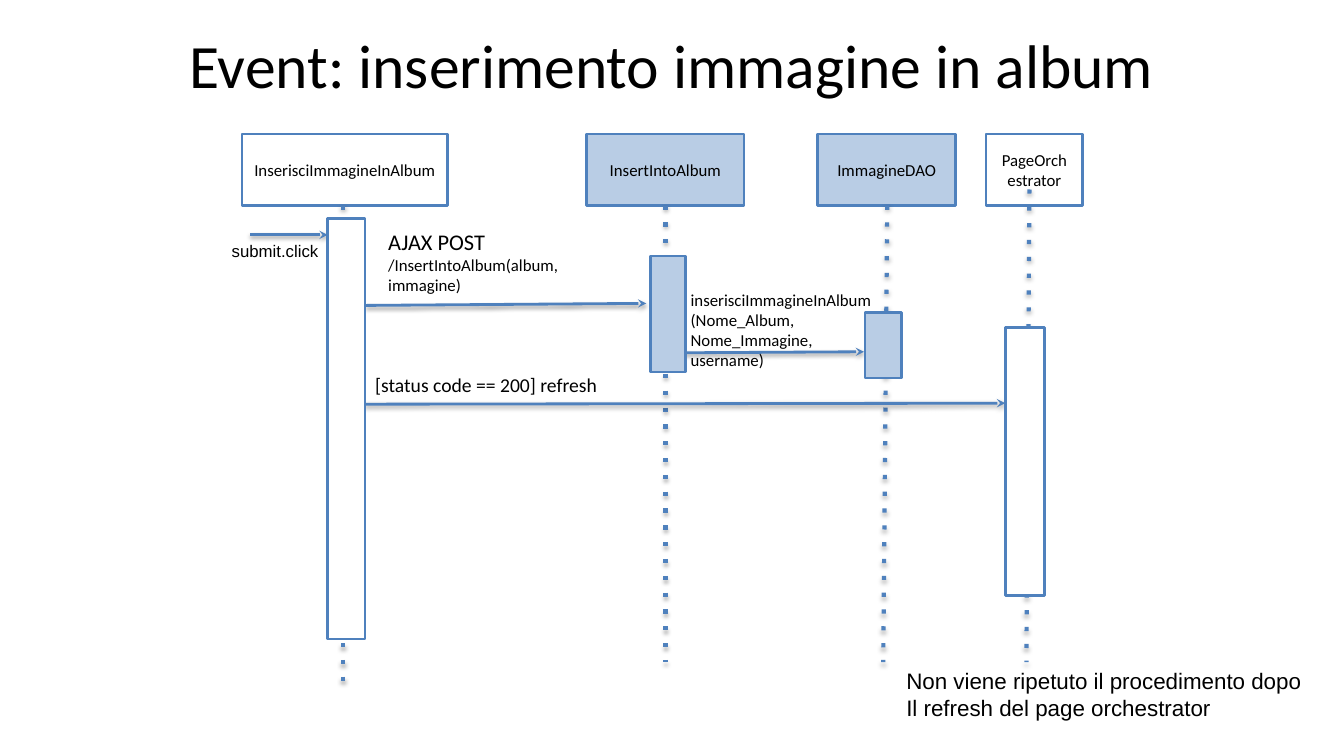
from dataclasses import dataclass

from lxml.etree import SubElement
from pptx import Presentation
from pptx.dml.color import RGBColor as Rgb
from pptx.enum.shapes import MSO_CONNECTOR as Link, MSO_SHAPE as Form
from pptx.enum.text import MSO_ANCHOR as Anchor, MSO_AUTO_SIZE as Fit, PP_ALIGN as Align
from pptx.oxml.ns import qn
from pptx.slide import Slide
from pptx.text.text import TextFrame
from pptx.util import Emu, Inches, Pt

COLS, ROWS = 133.3, 75
WIDE, HIGH = Inches(13.33), Inches(7.5)
HUES = {"ink": "000000", "edge": "4F81BD", "blue": "B9CDE5", "white": "FFFFFF"}
HEAD_TOP, HEAD_ROWS = 13.3, 7.1


@dataclass(frozen=True)
class Actor:
    name: str
    left: float
    width: float
    fill: str
    start: tuple[float, float]
    end: tuple[float, float]
    bar: tuple[float, float, float, float]


@dataclass(frozen=True)
class Arrow:
    start: tuple[float, float]
    end: tuple[float, float]


@dataclass(frozen=True)
class Note:
    text: str
    box: tuple[float, float, float, float]
    sizes: tuple[int, ...]
    font: str = "Calibri"
    pad: tuple[float, float] = (1.2, 0.6)
    wrap: bool = True
    grow: bool = False
    align: Align = Align.LEFT
    anchor: Anchor = Anchor.TOP


ACTORS = [
    Actor("InserisciImmagineInAlbum", 24, 20.4, "white",
          (34, 20.4), (34, 68.8), (32.5, 21.7, 3.7, 41.7)),
    Actor("InsertIntoAlbum", 58.2, 15.6, "blue",
          (66, 20.4), (66, 65.7), (64.5, 25.4, 3.5, 11.5)),
    Actor("ImmagineDAO", 81.1, 13.7, "blue",
          (88, 20.4), (87.6, 65.7), (85.8, 31, 3.6, 6.5)),
    Actor("PageOrchestrator", 97.8, 9.6, "white",
          (102.1, 18.8), (101.8, 65.7), (99.7, 32.5, 3.9, 26.6)),
]
ARROWS = [
    Arrow((24.8, 23.3), (32.5, 23.3)),
    Arrow((36.3, 30.3), (64.1, 30.1)),
    Arrow((67.4, 35), (85.7, 34.9)),
    Arrow((36.2, 40.1), (99.7, 40)),
]
NOTES = [
    Note("Event: inserimento immagine in album", (0, 1.6, COLS, 9.4), (44,),
         pad=(1, 0.5), align=Align.CENTER, anchor=Anchor.MIDDLE),
    Note("AJAX POST\n/InsertIntoAlbum(album, immagine)", (37.3, 22, 25.8, 9.8), (16, 12)),
    Note("submit.click", (22, 23.4, 10.7, 5), (12,), "Arial", (1, 0.5), wrap=False, grow=True),
    Note("inserisciImmagineInAlbum\v(Nome_Album, Nome_Immagine,\nusername)",
         (67.3, 28.1, 24.6, 9.6), (12, 12)),
    Note("[status code == 200] refresh", (36, 36.4, 25.8, 3.6), (14,)),
    Note("Non viene ripetuto il procedimento dopo\nIl refresh del page orchestrator",
         (88.9, 65.7, 44.5, 6.4), (16, 16), "Arial", (1, 0.5), grow=True),
]


def col(n: float) -> Emu:
    return Emu(round(WIDE * n / COLS))


def row(n: float) -> Emu:
    return Emu(round(HIGH * n / ROWS))


def hue(name: str) -> Rgb:
    return Rgb.from_string(HUES[name])


def write(frame: TextFrame, text: str, *, sizes: tuple[int, ...], font: str = "Calibri",
          pad: tuple[float, float] = (1.2, 0.6), align: Align = Align.LEFT,
          anchor: Anchor = Anchor.TOP, wrap: bool = True, grow: bool = False) -> None:
    frame.text = text
    frame.word_wrap = wrap
    frame.auto_size = Fit.SHAPE_TO_FIT_TEXT if grow else Fit.NONE
    frame.vertical_anchor = anchor
    frame.margin_left = frame.margin_right = col(pad[0])
    frame.margin_top = frame.margin_bottom = row(pad[1])
    for para, size in zip(frame.paragraphs, sizes):
        para.alignment = align
        for run in para.runs:
            run.font.name = font
            run.font.size = Pt(size)
            run.font.color.rgb = hue("ink")


def block(slide: Slide, box: tuple[float, float, float, float], fill: str,
          text: str = "") -> None:
    left, top, width, height = box
    shape = slide.shapes.add_shape(Form.RECTANGLE, col(left), row(top), col(width), row(height))
    shape.shadow.inherit = False
    shape.fill.solid()
    shape.fill.fore_color.rgb = hue(fill)
    shape.line.color.rgb = hue("edge")
    shape.line.width = Pt(2)
    if text:
        write(shape.text_frame, text, sizes=(12,), align=Align.CENTER, anchor=Anchor.MIDDLE)


def line(slide: Slide, start: tuple[float, float], end: tuple[float, float],
         dotted: bool = False) -> None:
    link = slide.shapes.add_connector(
        Link.STRAIGHT, col(start[0]), row(start[1]), col(end[0]), row(end[1]))
    link.line.color.rgb = hue("edge")
    link.line.width = Pt(3 if dotted else 2)
    props = link._element.spPr
    stroke = props.find(qn("a:ln"))
    if dotted:
        SubElement(stroke, qn("a:prstDash"), val="dot")
    else:
        SubElement(stroke, qn("a:tailEnd"), type="stealth")
    shade = SubElement(
        SubElement(props, qn("a:effectLst")), qn("a:outerShdw"), blurRad=str(Pt(3.1)),
        dist=str(Pt(1.8 if dotted else 1.6)), dir="5400000", rotWithShape="0")
    tint = SubElement(shade, qn("a:srgbClr"), val=HUES["ink"])
    SubElement(tint, qn("a:alpha"), val="35000" if dotted else "38000")


def label(slide: Slide, note: Note) -> None:
    left, top, width, height = note.box
    area = slide.shapes.add_textbox(col(left), row(top), col(width), row(height))
    write(area.text_frame, note.text, sizes=note.sizes, font=note.font, pad=note.pad,
          align=note.align, anchor=note.anchor, wrap=note.wrap, grow=note.grow)


def main() -> None:
    deck = Presentation()
    deck.slide_width, deck.slide_height = WIDE, HIGH
    slide = deck.slides.add_slide(deck.slide_layouts[6])
    for actor in ACTORS:
        block(slide, (actor.left, HEAD_TOP, actor.width, HEAD_ROWS), actor.fill, actor.name)
        line(slide, actor.start, actor.end, dotted=True)
    for arrow in ARROWS:
        line(slide, arrow.start, arrow.end)
    for actor in ACTORS:
        block(slide, actor.bar, actor.fill)
    for note in NOTES:
        label(slide, note)
    deck.save("out.pptx")


if __name__ == "__main__":
    main()
